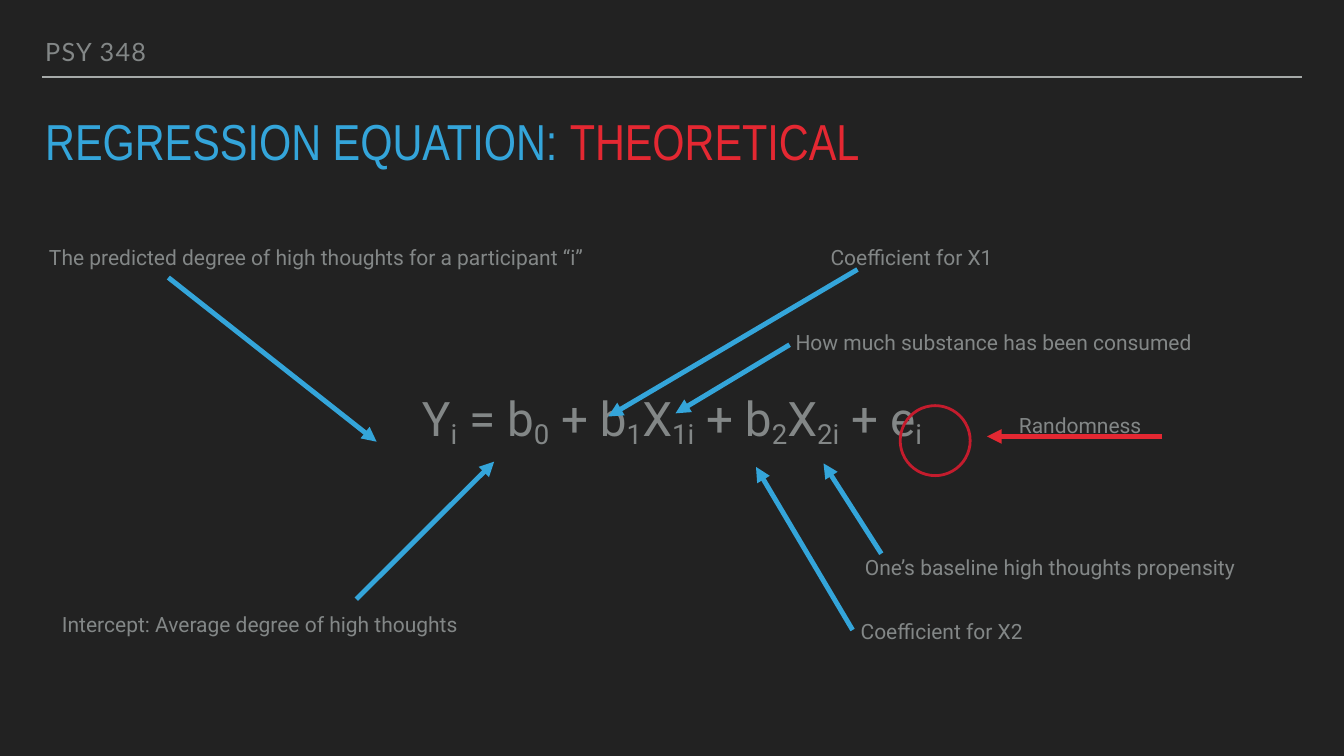
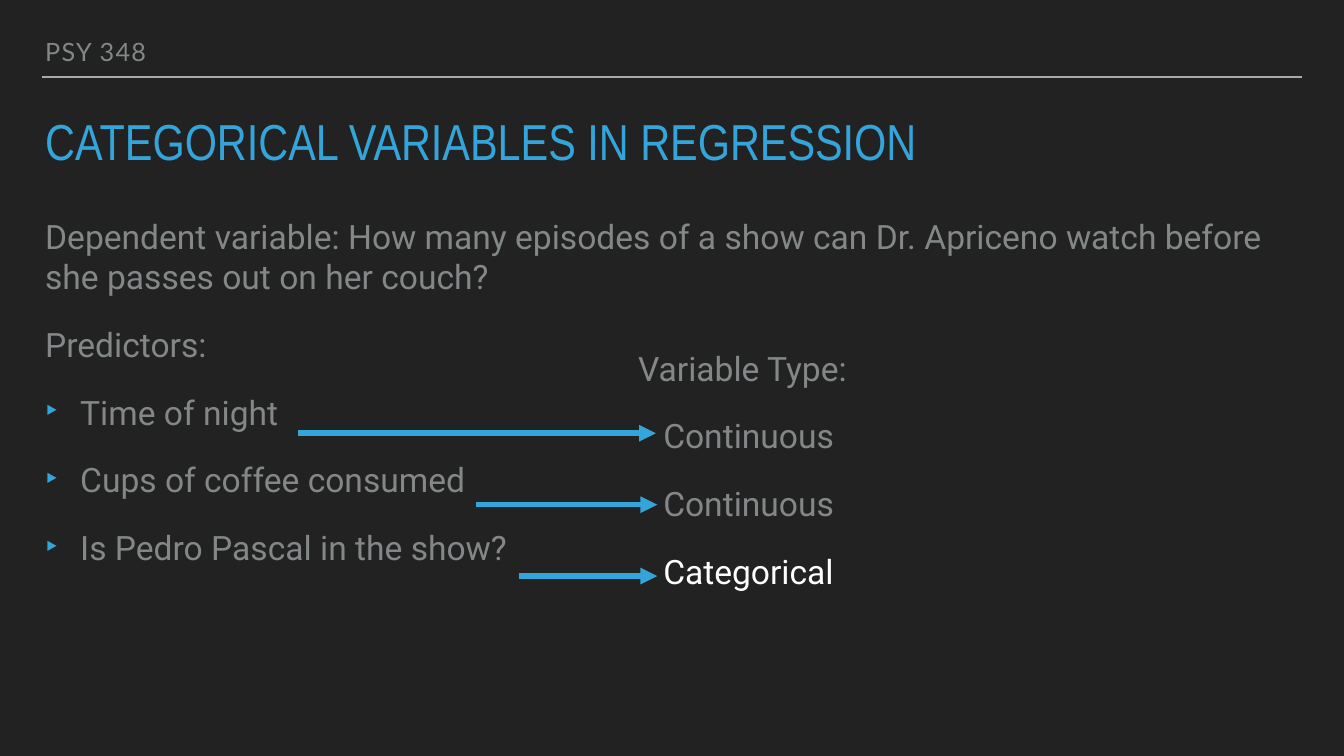
import pptx
import pptx.util
import pptx.dml.color
import pptx.enum.shapes
import pptx.enum.text
import pptx.oxml
import pptx.oxml.ns
from lxml import etree

Pt = pptx.util.Pt
RGB = pptx.dml.color.RGBColor
ALIGN = pptx.enum.text.PP_ALIGN
ANCHOR = pptx.enum.text.MSO_ANCHOR
FIT = pptx.enum.text.MSO_AUTO_SIZE
qn = pptx.oxml.ns.qn

DARK = RGB(0x22, 0x22, 0x22)
GREY = RGB(0x83, 0x87, 0x87)
RULE = RGB(0xA6, 0xAA, 0xA9)
BLUE = RGB(0x34, 0xA5, 0xDA)
RED = RGB(0xE4, 0x28, 0x32)
RING = RGB(0xC4, 0x1C, 0x2D)
WHITE = RGB(0xFF, 0xFF, 0xFF)

HEAD = (60, 50, 1650, 50)
TITLE = (60, 170, 1800, 80)
BODY = (60, 304, 1800, 676)
INSET = 4.5


def place(shape, box):
    shape.left, shape.top, shape.width, shape.height = map(Pt, box)


def shift(box, x, y):
    return Pt(box[0] + x), Pt(box[1] + y)


def set_frame(frame, anchor=ANCHOR.TOP, fit=FIT.NONE, wrap=True, top=INSET):
    frame.margin_left = frame.margin_right = frame.margin_bottom = Pt(INSET)
    frame.margin_top = Pt(top)
    frame.vertical_anchor = anchor
    frame.word_wrap = wrap
    frame.auto_size = fit


def set_bullet(para, indent, mark):
    props = para._p.get_or_add_pPr()
    props.set("marL", str(Pt(indent)))
    props.set("indent", str(-Pt(indent) if mark else 0))
    if not mark:
        etree.SubElement(props, qn("a:buNone"))
        return
    tint = etree.SubElement(props, qn("a:buClr"))
    etree.SubElement(tint, qn("a:srgbClr"), val=str(BLUE))
    etree.SubElement(props, qn("a:buSzPct"), val="105000")
    etree.SubElement(props, qn("a:buChar"), char=mark)


def add_text(frame, *runs, font="Roboto", size=48, color=GREY, align=ALIGN.LEFT,
             before=0, lines=1, indent=0, mark=None, track=0):
    """Add a paragraph; a run is a string or a (string, colour, baseline) tuple."""
    para = frame.paragraphs[0]
    if para.runs:
        para = frame.add_paragraph()
    para.alignment = align
    para.line_spacing = lines
    para.space_before = Pt(before)
    set_bullet(para, indent, mark)
    for item in runs:
        words, tint, base = (item, color, 0) if isinstance(item, str) else item
        run = para.add_run()
        run.text = words
        run.font.name = font
        run.font.size = Pt(size)
        run.font.bold = False
        run.font.color.rgb = tint
        props = run._r.get_or_add_rPr()
        if base:
            props.set("baseline", str(base * 1000))
        if track:
            props.set("spc", str(track))


def add_line(slide, start, end, color, width, arrow=True):
    link = slide.shapes.add_connector(
        pptx.enum.shapes.MSO_CONNECTOR.STRAIGHT, *start, *end)
    link.line.color.rgb = color
    link.line.width = Pt(width)
    if arrow:
        etree.SubElement(link.line._get_or_add_ln(), qn("a:tailEnd"), type="triangle")
    etree.SubElement(link._element.spPr, qn("a:effectLst"))


def add_label(slide, box, x, y, width, height):
    """Add a text box that grows with its text, and return its frame."""
    label = slide.shapes.add_textbox(*shift(box, x, y), Pt(width), Pt(height))
    set_frame(label.text_frame, ANCHOR.MIDDLE, FIT.SHAPE_TO_FIT_TEXT, False)
    return label.text_frame


def add_slide(deck, *title):
    """Add a slide with course header, rule and title; return it with its body."""
    slide = deck.slides.add_slide(deck.slide_layouts[3])
    name, body, head = slide.placeholders
    add_line(slide, (Pt(60), Pt(110)), (Pt(1860), Pt(110)), RULE, 2, arrow=False)

    place(head, HEAD)
    set_frame(head.text_frame, ANCHOR.BOTTOM)
    add_text(head.text_frame, "PSY 348", font="Lato", size=36, lines=0.8, track=180)

    place(name, TITLE)
    set_frame(name.text_frame)
    add_text(name.text_frame, *title, font="Arial Narrow", size=72.2, color=BLUE,
             before=32, lines=0.8)
    place(body, BODY)
    return slide, body.text_frame


def add_terms(frame):
    """Write the equation, its terms given as (letter, subscript)."""
    set_frame(frame, top=252)
    terms = [("Y", "i"), (" = b", "0"), (" + b", "1"), ("X", "1i"),
             (" + b", "2"), ("X", "2i"), (" + e", "i")]
    runs = []
    for letter, sub in terms:
        runs += [letter, (sub, GREY, -16)]
    add_text(frame, *runs, size=68, align=ALIGN.CENTER, before=39)


def add_notes(slide, box):
    """Explain each term with a label and an arrow."""
    labels = [
        ("Intercept: Average degree of high thoughts", 24, 563, 608),
        ("The predicted degree of high thoughts for a participant “i”", 5.5, 39, 811),
        ("Coefficient for X1", 1122, 39, 249),
        ("How much substance has been consumed", 1072, 160, 588),
        ("Coefficient for X2", 1165, 573, 249),
        ("One’s baseline high thoughts propensity", 1171, 481, 567),
        ("Randomness", 1391, 278.5, 186),
    ]
    for words, x, y, width in labels:
        add_text(add_label(slide, box, x, y, width, 49), words, size=30, before=34)

    arrows = [
        ((180.5, 92.5), (478, 327), BLUE),
        ((449, 552), (646, 355.5), BLUE),
        ((1165, 81), (809, 291), BLUE),
        ((1068, 188.5), (905, 286.5), BLUE),
        ((1158, 596), (1020, 363), BLUE),
        ((1199, 487), (1116.5, 358), BLUE),
        ((1600, 319.5), (1350, 319.5), RED),
    ]
    for start, end, color in arrows:
        add_line(slide, shift(box, *start), shift(box, *end), color, 7)

    ring = slide.shapes.add_shape(pptx.enum.shapes.MSO_SHAPE.OVAL,
                                  *shift(box, 1226, 275.5), Pt(100), Pt(100))
    ring.shadow.inherit = False
    ring.fill.background()
    ring.line.color.rgb = RING
    ring.line.width = Pt(4)


def add_list(frame):
    set_frame(frame)
    for words in ("Dependent variable: How many episodes of a show can Dr. Apriceno "
                  "watch before she passes out on her couch?", "Predictors:"):
        add_text(frame, words, before=39)
    for words in ("Time of night", "Cups of coffee consumed",
                  "Is Pedro Pascal in the show?"):
        add_text(frame, words, before=39, indent=50, mark="‣")


def add_types(slide, box):
    """Name the type of each predictor and point to it."""
    frame = add_label(slide, box, 847, 172, 320, 389)
    add_text(frame, "Variable Type:", before=39)
    for kind, color in (("Continuous", GREY), ("Continuous", GREY),
                        ("Categorical", WHITE)):
        add_text(frame, kind, color=color, before=39, indent=36)
    for row, (left, right) in enumerate(((366, 877), (620, 879), (681, 879))):
        y = 315 + 102 * row
        add_line(slide, shift(box, left, y), shift(box, right, y), BLUE, 8)


def main():
    deck = pptx.Presentation()
    deck.slide_width, deck.slide_height = Pt(1920), Pt(1080)
    fill = deck.slide_master.background.fill
    fill.solid()
    fill.fore_color.rgb = DARK

    slide, body = add_slide(deck, "REGRESSION EQUATION: ", ("THEORETICAL", RED, 0))
    add_terms(body)
    add_notes(slide, BODY)

    slide, body = add_slide(deck, "CATEGORICAL VARIABLES IN REGRESSION")
    add_list(body)
    add_types(slide, BODY)
    deck.save("out.pptx")


if __name__ == "__main__":
    main()
